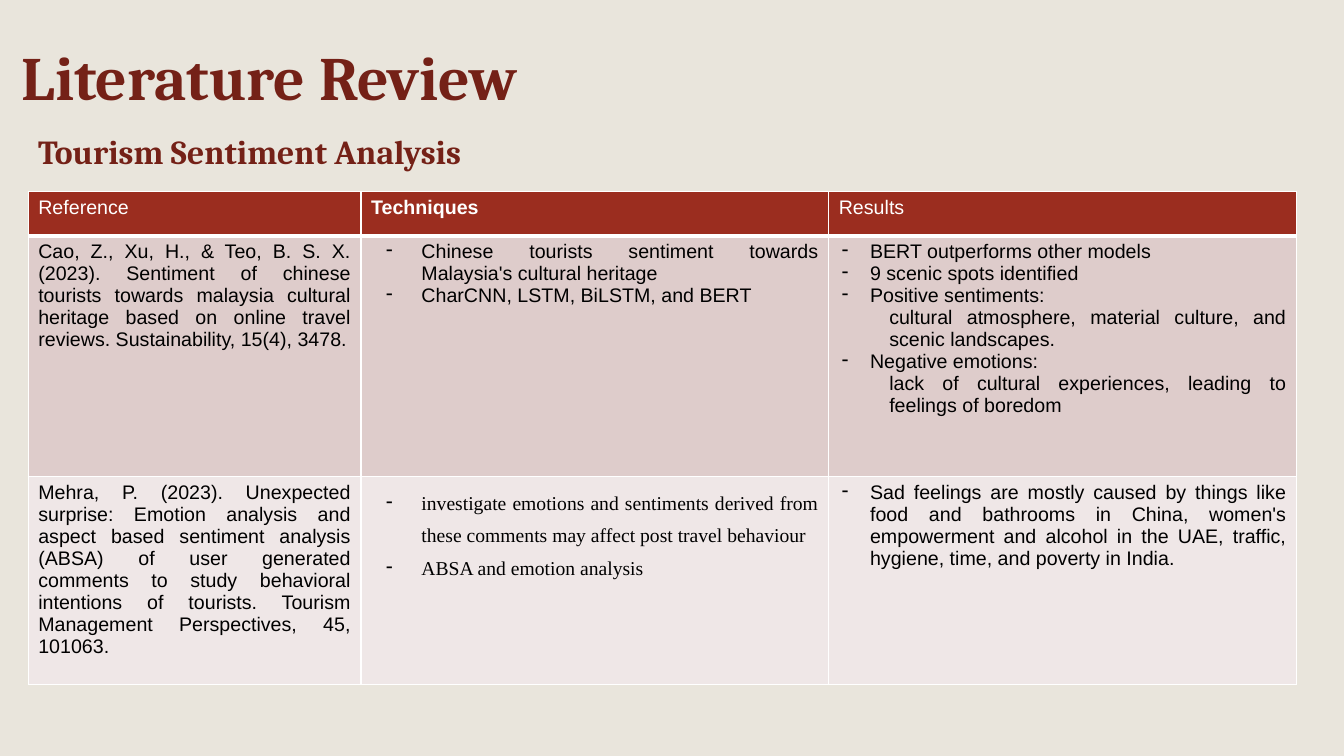
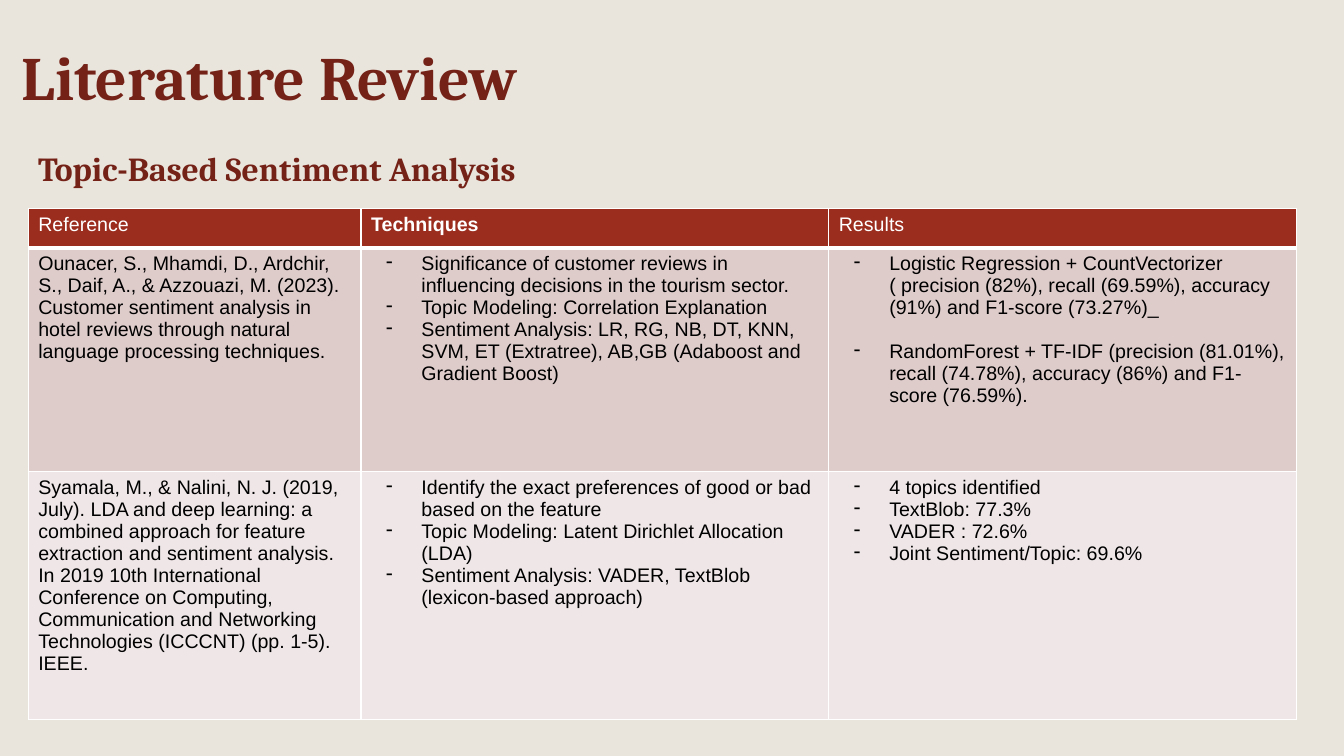
from lxml.etree import SubElement
from pptx import Presentation
from pptx.dml.color import RGBColor
from pptx.enum.text import MSO_ANCHOR, PP_ALIGN
from pptx.oxml.ns import qn
from pptx.util import Inches, Pt

# Shared look
BACKGROUND, TITLE, HEADER = "E9E5DC", "742117", "9B2D1F"
BODY_FILLS = ["DECCCB", "EFE7E7"]
WHITE, BLACK = "FFFFFF", "000000"
COLUMNS = ["Reference", "Techniques", "Results"]
COLUMN_WIDTHS = [3.3, 4.64, 4.64]

# Paragraph kinds: left margin, first-line indent, line spacing, space before, font
KINDS = {
    "plain": (0, 0, 1, 0, "Arial"),
    "dash": (0.5, -0.35, 1, 0, "Arial"),
    "dash apart": (0.5, -0.35, 1, 15.7, "Arial"),
    "dash tight": (0.31, -0.28, 1, 0, "Arial"),
    "dash serif": (0.5, -0.35, 1.5, 0, "Times New Roman"),
    "detail": (0.5, 0, 1, 0, "Arial"),
}

# Content of each slide; a cell is a list of (kind, text)
REVIEWS = [
    {
        "topic": "Tourism Sentiment Analysis",
        "topic_top": 1.24, "table_top": 1.9, "heights": [0.44, 2.39, 2.06],
        "align": PP_ALIGN.JUSTIFY,
        "studies": [
            [
                [("plain", "Cao, Z., Xu, H., & Teo, B. S. X. (2023). Sentiment of chinese tourists "
                  "towards malaysia cultural heritage based on online travel reviews. "
                  "Sustainability, 15(4), 3478.")],
                [("dash", "Chinese tourists sentiment towards Malaysia's cultural heritage"),
                 ("dash", "CharCNN, LSTM, BiLSTM, and BERT")],
                [("dash tight", "BERT outperforms other models"),
                 ("dash tight", "9 scenic spots identified"),
                 ("dash tight", "Positive sentiments:"),
                 ("detail", "cultural atmosphere, material culture, and scenic landscapes."),
                 ("dash tight", "Negative emotions:"),
                 ("detail", "lack of cultural experiences, leading to feelings of boredom")],
            ],
            [
                [("plain", "Mehra, P. (2023). Unexpected surprise: Emotion analysis and aspect based "
                  "sentiment analysis (ABSA) of user generated comments to study behavioral "
                  "intentions of tourists. Tourism Management Perspectives, 45, 101063.")],
                [("dash serif", "investigate emotions and sentiments derived from these comments "
                  "may affect post travel behaviour"),
                 ("dash serif", "ABSA and emotion analysis")],
                [("dash tight", "Sad feelings are mostly caused by things like food and bathrooms in "
                  "China, women's empowerment and alcohol in the UAE, traffic, hygiene, time, "
                  "and poverty in India.")],
            ],
        ],
    },
    {
        "topic": "Topic-Based Sentiment Analysis",
        "topic_top": 1.41, "table_top": 2.07, "heights": [0.39, 2.22, 2.46],
        "align": PP_ALIGN.LEFT,
        "studies": [
            [
                [("plain", "Ounacer, S., Mhamdi, D., Ardchir, S., Daif, A., & Azzouazi, M. (2023). "
                  "Customer sentiment analysis in hotel reviews through natural language "
                  "processing techniques.")],
                [("dash", "Significance of customer reviews in influencing decisions in the "
                  "tourism sector."),
                 ("dash", "Topic Modeling: Correlation Explanation"),
                 ("dash", "Sentiment Analysis: LR, RG, NB, DT, KNN, SVM, ET (Extratree), AB,GB "
                  "(Adaboost and Gradient Boost)")],
                [("dash", "Logistic Regression + CountVectorizer ( precision (82%), recall (69.59%), "
                  "accuracy (91%) and F1-score (73.27%)_"),
                 ("dash apart", "RandomForest + TF-IDF (precision (81.01%),"),
                 ("detail", "recall (74.78%), accuracy (86%) and F1-score (76.59%).")],
            ],
            [
                [("plain", "Syamala, M., & Nalini, N. J. (2019, July). LDA and deep learning: a "
                  "combined approach for feature extraction and sentiment analysis. In 2019 10th "
                  "International Conference on Computing, Communication and Networking "
                  "Technologies (ICCCNT) (pp. 1-5). IEEE.")],
                [("dash", "Identify the exact preferences of good or bad based on the feature"),
                 ("dash", "Topic Modeling: Latent Dirichlet Allocation (LDA)"),
                 ("dash", "Sentiment Analysis: VADER, TextBlob (lexicon-based approach)")],
                [("dash", "4 topics identified"),
                 ("dash", "TextBlob: 77.3%"),
                 ("dash", "VADER : 72.6%"),
                 ("dash", "Joint Sentiment/Topic: 69.6%")],
            ],
        ],
    },
]


def paint(fill, color):
    fill.solid()
    fill.fore_color.rgb = RGBColor.from_string(color)


def style_runs(paragraph, font, size, color, bold):
    for run in paragraph.runs:
        run.font.name, run.font.size, run.font.bold = font, Pt(size), bold
        paint(run.font.fill, color)


prs = Presentation()
prs.slide_width, prs.slide_height = Inches(13.33), Inches(7.5)
paint(prs.slide_master.background.fill, BACKGROUND)

for review in REVIEWS:
    slide = prs.slides.add_slide(prs.slide_layouts[6])

    # Title and topic
    for text, left, top, height, size in [
        ("Literature Review", 0.12, 0.07, 1.45, 44),
        (review["topic"], 0.28, review["topic_top"], 0.56, 24),
    ]:
        heading = slide.shapes.add_textbox(
            Inches(left), Inches(top), Inches(11.5), Inches(height)).text_frame
        heading.word_wrap = True
        heading.vertical_anchor = MSO_ANCHOR.MIDDLE
        heading.text = text
        heading.paragraphs[0].line_spacing = 0.9
        style_runs(heading.paragraphs[0], "Cambria", size, TITLE, True)

    # Table of studies
    rows = [[[("plain", name)] for name in COLUMNS]] + review["studies"]
    heights = review["heights"]
    studies = slide.shapes.add_table(
        len(rows), len(COLUMNS), Inches(0.28), Inches(review["table_top"]),
        Inches(sum(COLUMN_WIDTHS)), Inches(sum(heights))).table
    for column, width in zip(studies.columns, COLUMN_WIDTHS):
        column.width = Inches(width)

    for r, row in enumerate(rows):
        studies.rows[r].height = Inches(heights[r])
        for c, content in enumerate(row):
            cell = studies.cell(r, c)

            # White borders, thicker under the header
            properties = cell._tc.get_or_add_tcPr()
            for side in ["lnL", "lnR", "lnT", "lnB"]:
                under_header = (r, side) in [(0, "lnB"), (1, "lnT")]
                border = SubElement(properties, qn(f"a:{side}"), w=str(Pt(3 if under_header else 1)))
                SubElement(SubElement(border, qn("a:solidFill")), qn("a:srgbClr"), val=WHITE)
            paint(cell.fill, BODY_FILLS[r - 1] if r else HEADER)

            # Paragraphs of the cell
            for i, (kind, text) in enumerate(content):
                margin, indent, spacing, before, font = KINDS[kind]
                frame = cell.text_frame
                paragraph = frame.add_paragraph() if i else frame.paragraphs[0]
                paragraph.text = text
                layout = paragraph._p.get_or_add_pPr()
                layout.set("marL", str(Inches(margin)))
                layout.set("indent", str(Inches(indent)))
                if kind.startswith("dash"):
                    SubElement(SubElement(layout, qn("a:buClr")), qn("a:srgbClr"), val=BLACK)
                    SubElement(layout, qn("a:buChar"), char="-")
                paragraph.alignment = review["align"]
                paragraph.line_spacing = spacing
                if before:
                    paragraph.space_before = Pt(before)
                style_runs(paragraph, font, 14, BLACK if r else WHITE, text == "Techniques")

prs.save("out.pptx")
